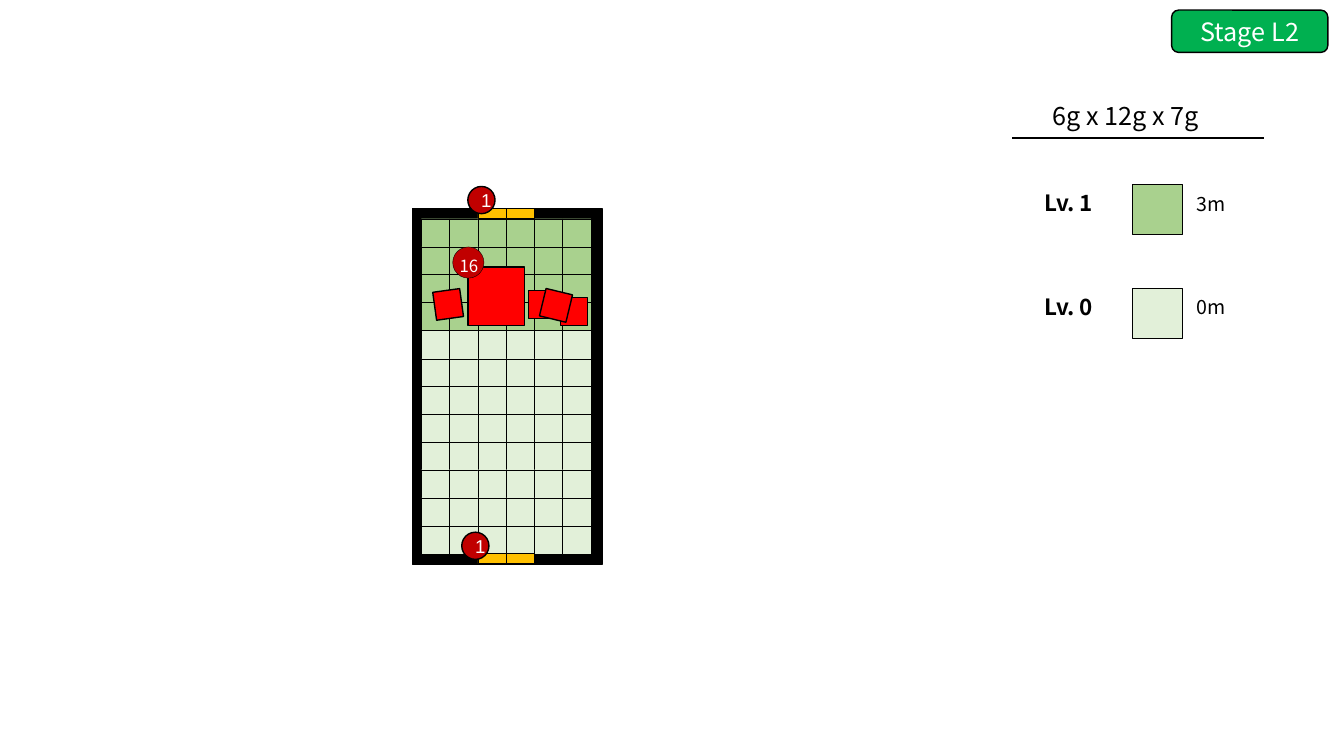
from lxml.etree import SubElement
from pptx import Presentation
from pptx.dml.color import RGBColor
from pptx.enum.shapes import MSO_CONNECTOR, MSO_SHAPE
from pptx.enum.text import MSO_ANCHOR, MSO_AUTO_SIZE, PP_ALIGN
from pptx.oxml.ns import qn
from pptx.util import Pt

PX = 9144  # 100 px to the inch
FONT = "Noto Sans CJK KR"
COLORS = {
    "black": "000000", "white": "FFFFFF", "badge": "00B050",
    "level 0": "E2F0D9", "level 1": "A9D18E", "door": "FFC000",
    "block": "FF0000", "marker": "C00000",
}


def color(name):
    return RGBColor.from_string(COLORS[name])


def write(shape, text, size=18, ink="black", font=FONT, bold=False,
          align=PP_ALIGN.LEFT, anchor=MSO_ANCHOR.TOP):
    frame = shape.text_frame
    frame.auto_size = MSO_AUTO_SIZE.NONE
    frame.word_wrap = True
    frame.vertical_anchor = anchor
    paragraph = frame.paragraphs[0]
    paragraph.alignment = align
    run = paragraph.add_run()
    run.text = text
    run.font.name = font
    run.font.size = Pt(size)
    run.font.bold = bold
    run.font.color.rgb = color(ink)


class StageMap:
    def __init__(self, slide):
        self.slide = slide

    def shape(self, kind, x, y, w, h, fill, line=1, rotation=0):
        shape = self.slide.shapes.add_shape(kind, x * PX, y * PX, w * PX, h * PX)
        shape.shadow.inherit = False
        shape.fill.solid()
        shape.fill.fore_color.rgb = color(fill)
        shape.line.color.rgb = color("black")
        shape.line.width = Pt(line)
        shape.rotation = rotation
        return shape

    def rect(self, *box, **style):
        return self.shape(MSO_SHAPE.RECTANGLE, *box, **style)

    def circle(self, x, y, size, **style):
        return self.shape(MSO_SHAPE.OVAL, x, y, size, size, "marker", **style)

    def label(self, x, y, w, h, text, **style):
        box = self.slide.shapes.add_textbox(x * PX, y * PX, w * PX, h * PX)
        write(box, text, **style)

    def title(self, x, y, w, h, text, **style):
        title = self.slide.shapes.title
        title.left, title.top, title.width, title.height = (
            x * PX, y * PX, w * PX, h * PX)
        write(title, text, **style)

    def rule(self, x1, x2, y):
        rule = self.slide.shapes.add_connector(
            MSO_CONNECTOR.STRAIGHT, x1 * PX, y * PX, x2 * PX, y * PX)
        rule.line.color.rgb = color("black")
        rule.line.width = Pt(1)
        SubElement(rule._element.spPr, qn("a:effectLst"))


def main():
    prs = Presentation()
    prs.slide_width, prs.slide_height = 1333 * PX, 750 * PX
    stage = StageMap(prs.slides.add_slide(prs.slide_layouts[5]))
    centred = {"align": PP_ALIGN.CENTER, "anchor": MSO_ANCHOR.MIDDLE}

    # Heading and stage badge
    stage.title(1034, 94, 254, 40, "6g x 12g x 7g")
    stage.rule(1004, 1254, 137)
    badge = stage.shape(MSO_SHAPE.ROUNDED_RECTANGLE, 1162, 10, 155, 42, "badge")
    write(badge, "Stage L2", ink="white", **centred)

    # Legend
    for level, height, y in ((1, "3m", 183), (0, "0m", 286)):
        stage.rect(1123, y, 50, 50, fill=f"level {level}")
        stage.label(1177, y + 2, 77, 34, height, size=14)
        stage.label(1026, y, 107, 37, f"Lv. {level}", size=16, bold=True)

    # Walls and floor grid: the first four of twelve rows are raised
    left, top, cell, row_pitch = 418, 217, 28, 27.7
    stage.rect(409, 207, 188, 353, fill="black")
    for row in range(12):
        floor = "level 1" if row < 4 else "level 0"
        for column in range(6):
            stage.rect(left + column * cell, round(top + row * row_pitch),
                       cell, cell, fill=floor, line=0.25)

    # Doors in the middle of the top and bottom walls
    for door_y in (207, 549):
        for column in (2, 3):
            stage.rect(left + column * cell, door_y, cell, 10,
                       fill="door", line=0.25)

    # Door markers
    for x, y in ((458, 528), (464, 185)):
        write(stage.circle(x, y, 27), "1", size=13.3, ink="white",
              font="Arial", **centred)

    # Blocks
    stage.rect(464, 265, 56, 58, fill="block")
    for x, y, turn in ((431, 288, 352.1), (556, 295, 0),
                       (524, 288, 0), (538, 289, 13.6)):
        stage.rect(x, y, 27, 28, fill="block", rotation=turn)

    # Block marker
    stage.circle(449, 245, 31, line=0.25)
    stage.label(446, 249, 42, 34, "16", size=12, ink="white")

    prs.save("out.pptx")


if __name__ == "__main__":
    main()
